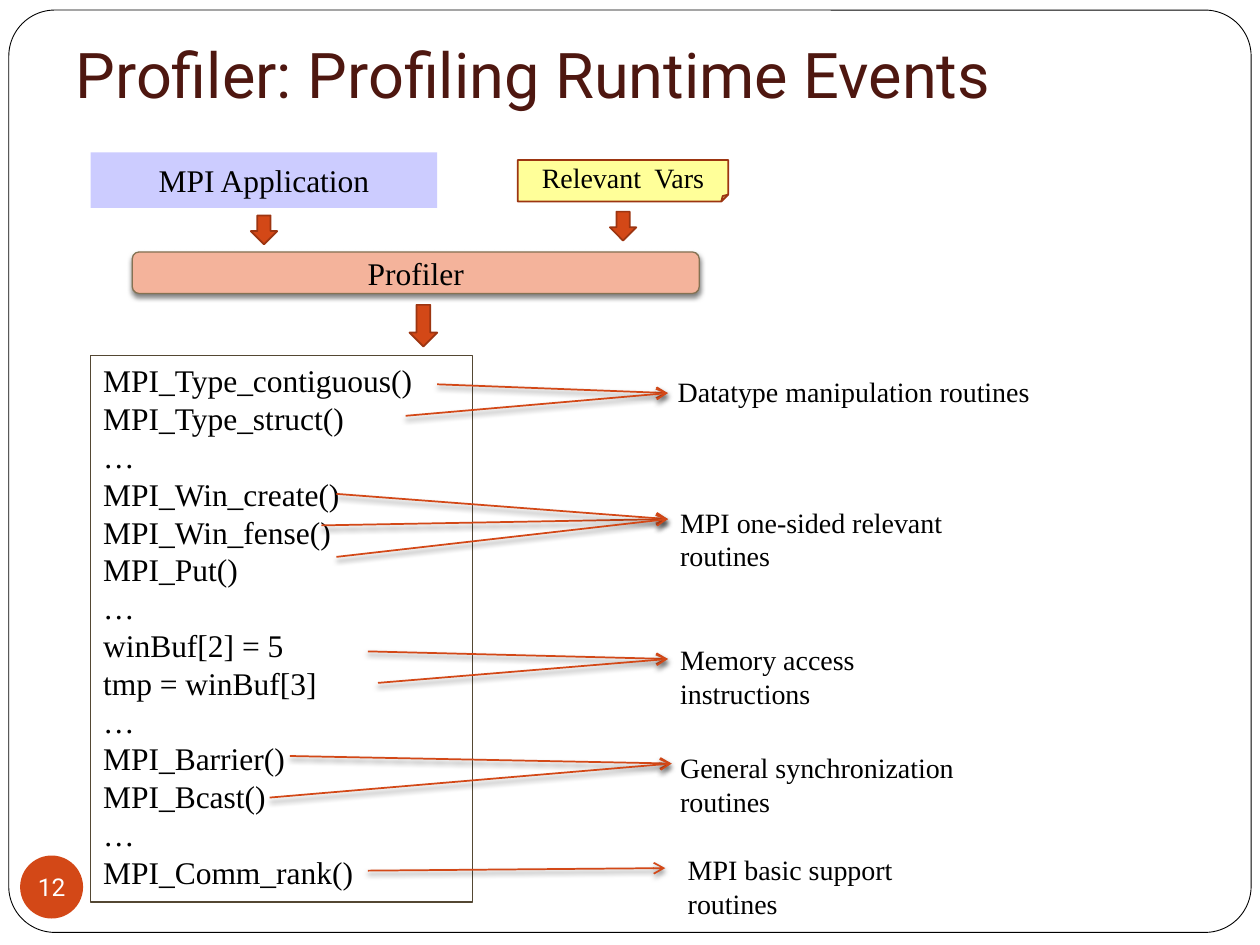
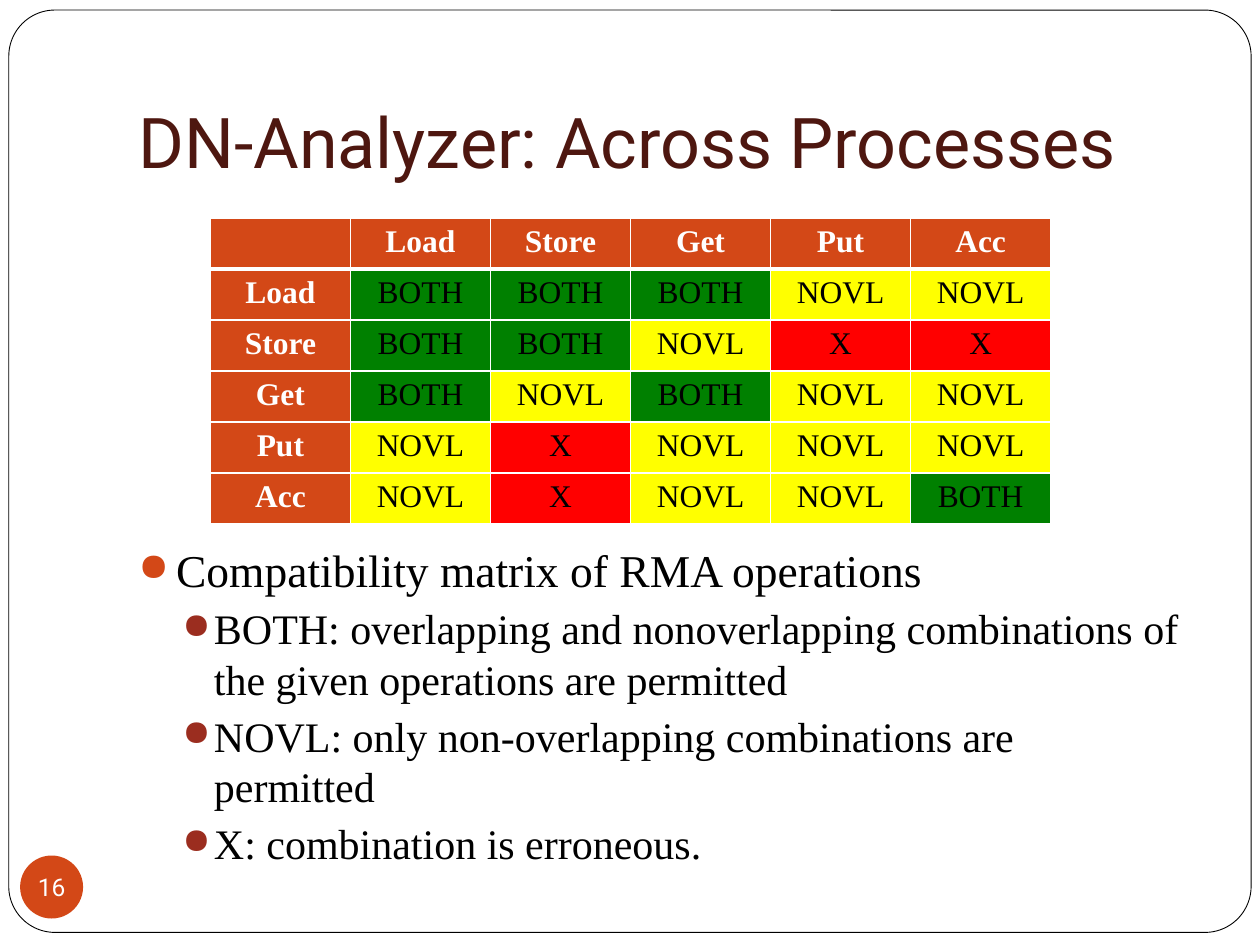
from lxml import etree
from pptx import Presentation
from pptx.dml.color import RGBColor
from pptx.enum.shapes import MSO_CONNECTOR as Link, MSO_SHAPE as Preset
from pptx.enum.text import MSO_ANCHOR as Anchor, MSO_AUTO_SIZE as Fit, PP_ALIGN as Align
from pptx.oxml import parse_xml
from pptx.oxml.ns import nsdecls, qn
from pptx.util import Inches, Pt

SERIF, SANS = "Times New Roman", "Roboto"
BLACK, WHITE, ORANGE, RUST, MAROON = "000000", "FFFFFF", "D34817", "9C3511", "4E1710"

CALLS = [
    "MPI_Type_contiguous()", "MPI_Type_struct()", "…",
    "MPI_Win_create()", "MPI_Win_fense()", "MPI_Put()", "…",
    "winBuf[2] = 5", "tmp = winBuf[3]", "…",
    "MPI_Barrier()", "MPI_Bcast()", "…", "MPI_Comm_rank()",
]
ROUTINES = [
    ("Datatype manipulation routines", (5.28, 2.92, 3.62, 0.37),
     (5.3, 3.12), [(3.47, 3.05), (3.22, 3.3)]),
    ("MPI one-sided relevant routines", (5.3, 3.96, 2.8, 0.37),
     (5.3, 4.12), [(2.55, 4.17), (2.67, 3.92), (2.67, 4.42)]),
    ("Memory access instructions", (5.3, 5.05, 2.44, 0.37),
     (5.3, 5.23), [(2.92, 5.17), (3, 5.42)]),
    ("General synchronization routines", (5.3, 5.91, 2.89, 0.37),
     (5.33, 6.06), [(2.3, 6), (2.14, 6.33)]),
    ("MPI basic support routines", (5.36, 6.72, 2.38, 0.37),
     (5.28, 6.89), [(2.92, 6.91)]),
]
DOWN_ARROWS = [(1.99, 1.71, 0.21, 0.23), (4.84, 1.68, 0.21, 0.23), (3.25, 2.42, 0.22, 0.33)]

OPERATIONS = ["Load", "Store", "Get", "Put", "Acc"]
COMPATIBILITY = [
    ["BOTH", "BOTH", "BOTH", "NOVL", "NOVL"],
    ["BOTH", "BOTH", "NOVL", "X", "X"],
    ["BOTH", "NOVL", "BOTH", "NOVL", "NOVL"],
    ["NOVL", "X", "NOVL", "NOVL", "NOVL"],
    ["NOVL", "X", "NOVL", "NOVL", "BOTH"],
]
VERDICT_FILLS = {"BOTH": "008000", "NOVL": "FFFF00", "X": "FF0000"}
LEGEND = [
    (0, "Compatibility matrix of RMA operations"),
    (1, "BOTH: overlapping and nonoverlapping combinations of the given operations are permitted"),
    (1, "NOVL: only non-overlapping combinations are permitted"),
    (1, "X: combination is erroneous."),
]
LEGEND_LEVELS = [
    dict(size=26, margin=0.3, indent=-0.3, before=0, bullet=ORANGE),
    dict(size=24, margin=0.6, indent=-0.25, before=3.7, bullet="9B2D1F"),
]


def colour(value):
    return RGBColor.from_string(value)


def inches(values):
    return [Inches(value) for value in values]


def style(para, size, face=SERIF, ink=BLACK, bold=False, align=Align.LEFT):
    para.alignment = align
    font = para.font
    font.size, font.name, font.bold = Pt(size), face, bold
    font.color.rgb = colour(ink)


def add_box(page, preset, place, fill=None, line=None, width=1):
    box = page.shapes.add_shape(preset, *inches(place))
    box.shadow.inherit = False
    if fill:
        box.fill.solid()
        box.fill.fore_color.rgb = colour(fill)
    else:
        box.fill.background()
    if line:
        box.line.color.rgb = colour(line)
        box.line.width = Pt(width)
    else:
        box.line.fill.background()
    return box


def label_box(box, text, size, face=SERIF, ink=BLACK):
    frame = box.text_frame
    frame.vertical_anchor = Anchor.MIDDLE
    frame.text = text
    style(frame.paragraphs[0], size, face, ink, align=Align.CENTER)


def write_lines(frame, lines, size):
    frame.word_wrap = True
    frame.vertical_anchor = Anchor.TOP
    frame.text = "\n".join(lines)
    for para in frame.paragraphs:
        style(para, size)
        para.line_spacing = Pt(size * 1.2)


def cast_shadow(shape):
    properties = shape.element.spPr
    for old in properties.findall(qn("a:effectLst")):
        properties.remove(old)
    properties.append(parse_xml(
        f'<a:effectLst {nsdecls("a")}><a:outerShdw blurRad="{Pt(3)}" dist="{Pt(2)}" dir="5400000" '
        f'rotWithShape="0"><a:srgbClr val="{BLACK}"><a:alpha val="50000"/></a:srgbClr>'
        '</a:outerShdw></a:effectLst>'))


def add_arrow(page, start, end):
    arrow = page.shapes.add_connector(Link.STRAIGHT, *inches(start + end))
    arrow.line.color.rgb = colour(ORANGE)
    arrow.line.width = Pt(1)
    tail = etree.SubElement(arrow.element.spPr.find(qn("a:ln")), qn("a:tailEnd"))
    tail.set("type", "arrow")
    cast_shadow(arrow)


def add_bullet(para, ink, margin, indent):
    properties = para._p.get_or_add_pPr()
    properties.set("marL", str(Inches(margin)))
    properties.set("indent", str(Inches(indent)))
    for tag, child, value in (("buClr", "srgbClr", ink), ("buSzPct", None, "85000"),
                              ("buChar", None, "●")):
        element = etree.SubElement(properties, qn(f"a:{tag}"))
        if child:
            element = etree.SubElement(element, qn(f"a:{child}"))
        element.set("char" if tag == "buChar" else "val", value)


def border_cell(cell, top, bottom):
    properties = cell._tc.get_or_add_tcPr()
    for index, (side, width) in enumerate((("L", 1), ("R", 1), ("T", top), ("B", bottom))):
        properties.insert(index, parse_xml(
            f'<a:ln{side} {nsdecls("a")} w="{Pt(width)}"><a:solidFill>'
            f'<a:srgbClr val="{WHITE}"/></a:solidFill></a:ln{side}>'))


def add_page(deck, title, place, size, number):
    page = deck.slides.add_slide(deck.slide_layouts[5])
    heading = page.shapes.title
    heading.left, heading.top, heading.width, heading.height = inches(place)
    frame = heading.text_frame
    frame.text = title
    frame.word_wrap = True
    frame.auto_size = Fit.NONE
    frame.vertical_anchor = Anchor.BOTTOM
    frame.margin_bottom = Inches(0.1)
    style(frame.paragraphs[0], size, SANS, MAROON)

    border = add_box(page, Preset.ROUNDED_RECTANGLE, (0.07, 0.08, 9.86, 7.32), WHITE, BLACK, 0.5)
    border.adjustments[0] = 0.05
    heading.element.addprevious(border.element)

    badge = add_box(page, Preset.OVAL, (0.16, 6.79, 0.5, 0.5), ORANGE)
    label_box(badge, str(number), 14, SANS, WHITE)
    frame = badge.text_frame
    frame.word_wrap = False
    frame.margin_left = frame.margin_right = frame.margin_top = frame.margin_bottom = 0
    return page


def build_profiler(deck):
    page = add_page(deck, "Profiler: Profiling Runtime Events", (0.5, 0.33, 9, 0.65), 36, 12)
    application = add_box(page, Preset.RECTANGLE, (0.72, 1.21, 2.75, 0.44), "CCCCFF")
    label_box(application, "MPI Application", 18)
    variables = add_box(page, Preset.FOLDED_CORNER, (4.11, 1.27, 1.67, 0.33), "FFFF99", RUST)
    label_box(variables, "Relevant  Vars", 16)
    profiler = add_box(page, Preset.ROUNDED_RECTANGLE, (1.05, 2, 4.5, 0.33), "F4B39B", "847253", 0.75)
    label_box(profiler, "Profiler", 18)
    cast_shadow(profiler)
    for place in DOWN_ARROWS:
        add_box(page, Preset.DOWN_ARROW, place, ORANGE, RUST)

    calls = add_box(page, Preset.RECTANGLE, (0.72, 2.82, 3.03, 4.34), None, "534733", 0.75)
    write_lines(calls.text_frame, CALLS, 18)
    for text, place, target, starts in ROUTINES:
        label = page.shapes.add_textbox(*inches(place))
        write_lines(label.text_frame, [text], 16)
        for start in starts:
            add_arrow(page, start, target)


def build_analyzer(deck):
    page = add_page(deck, "DN-Analyzer: Across Processes", (1, 0.3, 8.5, 1.25), 40, 16)
    rows = [["", *OPERATIONS]]
    rows += [[name, *verdicts] for name, verdicts in zip(OPERATIONS, COMPATIBILITY)]
    matrix = page.shapes.add_table(len(rows), len(rows[0]), *inches((1.67, 1.73, 6.67, 2.43))).table
    for row, values in enumerate(rows):
        for column, text in enumerate(values):
            header = row == 0 or column == 0
            cell = matrix.cell(row, column)
            cell.text = text
            style(cell.text_frame.paragraphs[0], 18, ink=WHITE if header else BLACK,
                  bold=header, align=Align.CENTER)
            cell.fill.solid()
            cell.fill.fore_color.rgb = colour(ORANGE if header else VERDICT_FILLS[text])
            border_cell(cell, top=3 if row == 1 else 1, bottom=3 if row == 0 else 1)

    frame = page.shapes.add_textbox(*inches((1, 4.25, 8.5, 2.33))).text_frame
    frame.word_wrap = True
    frame.text = "\n".join(text for _, text in LEGEND)
    for para, (level, _) in zip(frame.paragraphs, LEGEND):
        look = LEGEND_LEVELS[level]
        para.level = level
        add_bullet(para, look["bullet"], look["margin"], look["indent"])
        style(para, look["size"])
        para.line_spacing = Pt(look["size"] * 1.2)
        para.space_before = Pt(look["before"])


def main():
    deck = Presentation()
    deck.slide_width, deck.slide_height = Inches(10), Inches(7.5)
    build_profiler(deck)
    build_analyzer(deck)
    deck.save("out.pptx")


if __name__ == "__main__":
    main()
